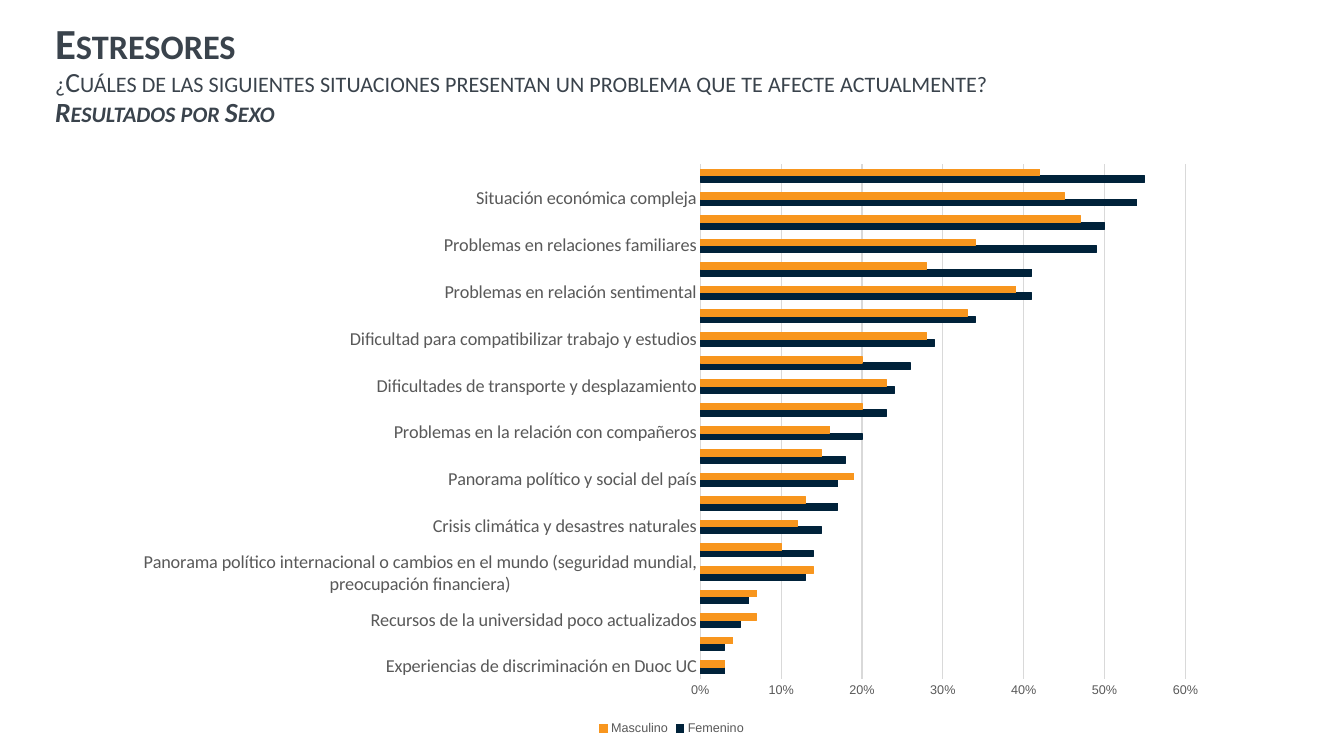
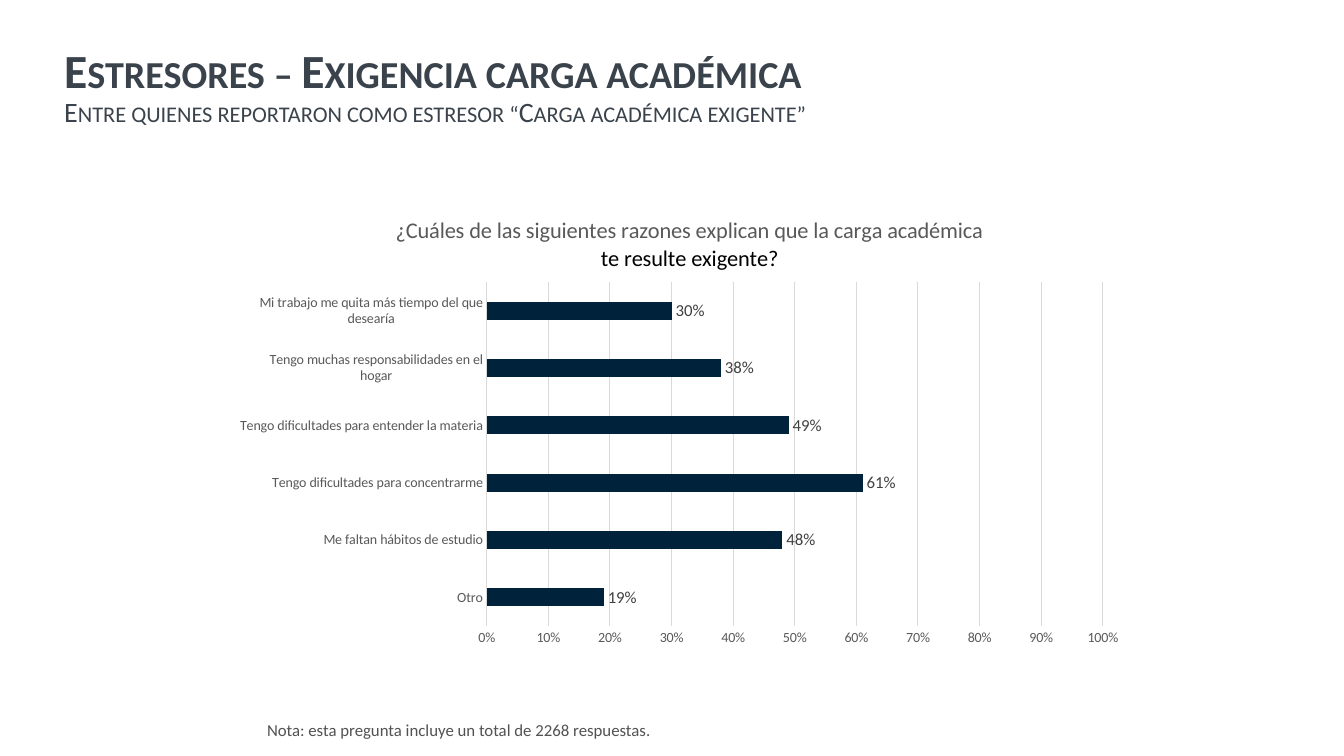
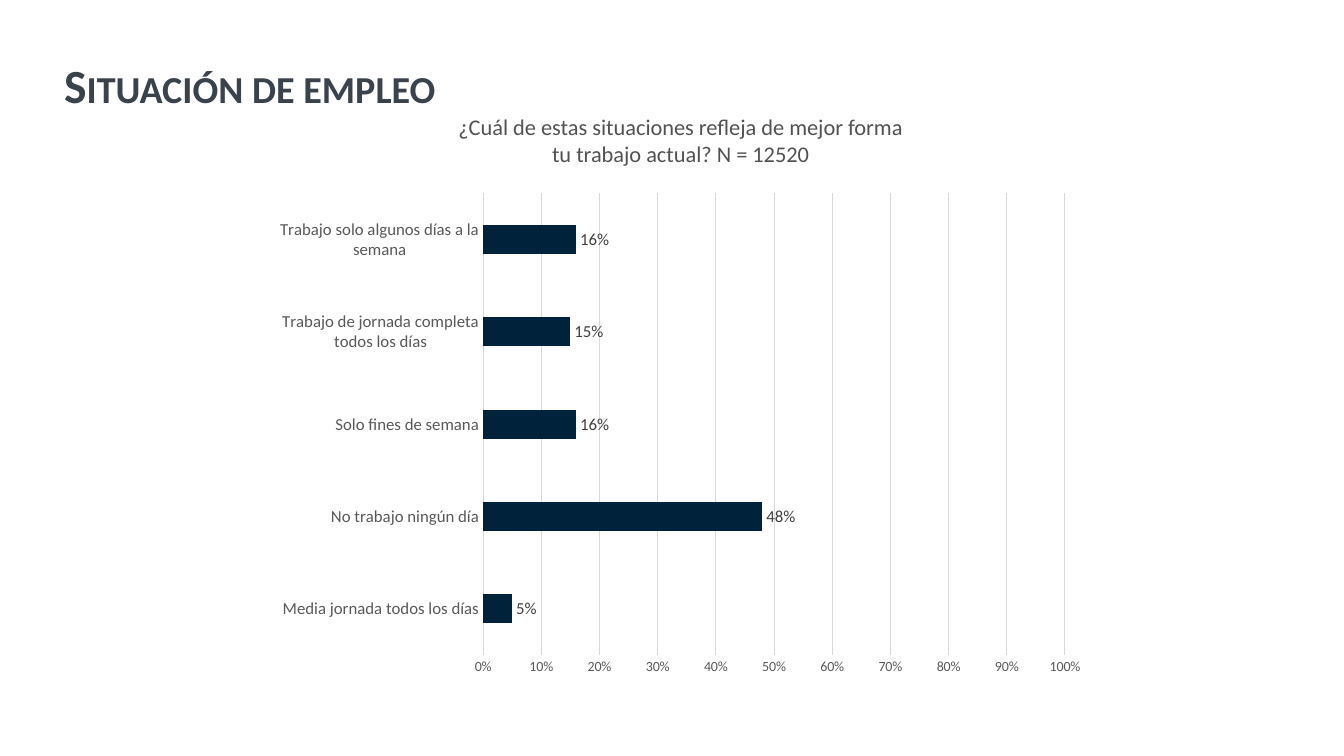
from lxml import etree
from pptx import Presentation
from pptx.chart.data import CategoryChartData
from pptx.dml.color import RGBColor
from pptx.enum.chart import (XL_CHART_TYPE, XL_LABEL_POSITION,
                             XL_LEGEND_POSITION, XL_TICK_MARK)
from pptx.enum.text import MSO_ANCHOR, PP_ALIGN
from pptx.oxml.ns import qn
from pptx.util import Cm, Pt

CLUSTERED = XL_CHART_TYPE.BAR_CLUSTERED
OUTSIDE_END = XL_LABEL_POSITION.OUTSIDE_END
BOTTOM = XL_LEGEND_POSITION.BOTTOM
NO_TICK = XL_TICK_MARK.NONE
TOP, MIDDLE = MSO_ANCHOR.TOP, MSO_ANCHOR.MIDDLE
LEFT, CENTER = PP_ALIGN.LEFT, PP_ALIGN.CENTER

SLATE = RGBColor(0x3A, 0x43, 0x4C)
NAVY = RGBColor(0x00, 0x22, 0x3A)
ORANGE = RGBColor(0xF8, 0x96, 0x1E)
AXIS_GRAY = RGBColor(0x59, 0x59, 0x59)
LABEL_GRAY = RGBColor(0x40, 0x40, 0x40)
NOTE_GRAY = RGBColor(0x52, 0x52, 0x52)
GRID_GRAY = RGBColor(0xD9, 0xD9, 0xD9)
BLACK = RGBColor(0, 0, 0)

BODY_FONT = "Calibri"
CHART_FONT = "Arial"
PERCENT = "0%"

STRESSORS_BY_SEX = [  # category, Femenino, Masculino
    ("Experiencias de discriminación en Duoc UC", 0.03, 0.03),
    ("Espacios de clase no adecuados en Duoc UC", 0.03, 0.04),
    ("Recursos de la universidad poco actualizados", 0.05, 0.07),
    ("Problemas en la relación con profesores", 0.06, 0.07),
    ("Panorama político internacional o cambios en el mundo "
     "(seguridad mundial, preocupación financiera)", 0.13, 0.14),
    ("Problemas de inseguridad al entrar y salir de la sede (delincuencia)",
     0.14, 0.10),
    ("Crisis climática y desastres naturales", 0.15, 0.12),
    ("Problemas de inseguridad en tu barrio", 0.17, 0.13),
    ("Panorama político y social del país", 0.17, 0.19),
    ("Carga académica exigente", 0.18, 0.15),
    ("Problemas en la relación con compañeros", 0.20, 0.16),
    ("Problemas de salud de un ser querido", 0.23, 0.20),
    ("Dificultades de transporte y desplazamiento", 0.24, 0.23),
    ("Duelos/pérdidas", 0.26, 0.20),
    ("Dificultad para compatibilizar trabajo y estudios", 0.29, 0.28),
    ("Aislamiento", 0.34, 0.33),
    ("Problemas en relación sentimental", 0.41, 0.39),
    ("Problemas de salud personales", 0.41, 0.28),
    ("Problemas en relaciones familiares", 0.49, 0.34),
    ("Futuro laboral", 0.50, 0.47),
    ("Situación económica compleja", 0.54, 0.45),
    ("Problemas de autoestima", 0.55, 0.42),
]

WORKLOAD_REASONS = [
    ("Otro", 0.19),
    ("Me faltan hábitos de estudio", 0.48),
    ("Tengo dificultades para concentrarme", 0.61),
    ("Tengo dificultades para entender la materia", 0.49),
    ("Tengo muchas responsabilidades en el hogar", 0.38),
    ("Mi trabajo me quita más tiempo del que desearía", 0.30),
]

JOB_SITUATIONS = [
    ("Media jornada todos los días", 0.05),
    ("No trabajo ningún día", 0.48),
    ("Solo fines de semana", 0.16),
    ("Trabajo de jornada completa todos los días", 0.15),
    ("Trabajo solo algunos días a la semana", 0.16),
]


def style_font(font, size, color, name=BODY_FONT, bold=False, italic=False):
    font.name = name
    font.size = Pt(size)
    font.color.rgb = color
    font.bold = bold
    font.italic = italic


def write_line(paragraph, text, *, small_caps=False, align=LEFT, spacing=1.0,
               **font_format):
    paragraph.alignment = align
    paragraph.line_spacing = spacing
    run = paragraph.add_run()
    run.text = text
    style_font(run.font, **font_format)
    if small_caps:
        run.font._element.set("cap", "small")


def write_lines(frame, lines):
    """Write (text, format) pairs, one paragraph each."""
    for index, (text, line_format) in enumerate(lines):
        paragraph = frame.add_paragraph() if index else frame.paragraphs[0]
        write_line(paragraph, text, **line_format)


def add_text(slide, left, top, width, height, lines, anchor=TOP):
    box = slide.shapes.add_textbox(Cm(left), Cm(top), Cm(width), Cm(height))
    frame = box.text_frame
    frame.word_wrap = True
    frame.vertical_anchor = anchor
    write_lines(frame, lines)


def add_title(slide, lines, left=1.37, top=1.02):
    """Add the small-caps heading; lines are (text, size, bold, italic)."""
    add_text(slide, left, top, 32.33, 2.39, [
        (text, dict(size=size, bold=bold, italic=italic, color=SLATE,
                    small_caps=True, spacing=0.9))
        for text, size, bold, italic in lines], anchor=MIDDLE)


def set_layout(parent, position, **fractions):
    """Place a chart part by hand, in fractions of the chart."""
    layout = parent.find(qn("c:layout"))
    if layout is None:
        layout = etree.Element(qn("c:layout"))
        parent.insert(position, layout)
    manual = etree.SubElement(layout, qn("c:manualLayout"))
    if "w" in fractions:
        etree.SubElement(manual, qn("c:layoutTarget")).set("val", "inner")
    for axis in "xy":
        etree.SubElement(manual, qn(f"c:{axis}Mode")).set("val", "edge")
    for key, fraction in fractions.items():
        etree.SubElement(manual, qn(f"c:{key}")).set("val", str(fraction))


def style_axes(chart, maximum, category_size, value_size, value_font):
    categories, values = chart.category_axis, chart.value_axis
    for axis in (categories, values):
        axis.major_tick_mark = axis.minor_tick_mark = NO_TICK
    categories.has_major_gridlines = False
    categories.format.line.color.rgb = GRID_GRAY
    categories.format.line.width = Pt(0.75)
    style_font(categories.tick_labels.font, category_size, AXIS_GRAY)

    values.minimum_scale = 0
    values.maximum_scale = maximum
    values.major_unit = 0.1
    values.format.line.fill.background()
    values.has_major_gridlines = True
    values.major_gridlines.format.line.color.rgb = GRID_GRAY
    values.major_gridlines.format.line.width = Pt(0.75)
    values.tick_labels.number_format = PERCENT
    values.tick_labels.number_format_is_linked = False
    style_font(values.tick_labels.font, value_size, AXIS_GRAY, value_font)


def add_bar_chart(slide, left, top, width, height, rows, series_colors, plot_area,
                  *, gap=219, maximum=1, category_size=10, value_size=10,
                  value_font=BODY_FONT):
    names, *columns = zip(*rows)
    data = CategoryChartData(number_format=PERCENT)
    data.categories = names
    for series_name, column in zip(series_colors, columns):
        data.add_series(series_name, column)
    chart = slide.shapes.add_chart(CLUSTERED, Cm(left), Cm(top), Cm(width),
                                   Cm(height), data).chart
    style_font(chart.font, 10, BLACK, CHART_FONT)
    chart.has_title = False
    chart.has_legend = False
    style_axes(chart, maximum, category_size, value_size, value_font)

    plot = chart.plots[0]
    plot.gap_width = gap
    plot.overlap = 0
    plot.vary_by_categories = False
    for series, color in zip(plot.series, series_colors.values()):
        series.format.fill.solid()
        series.format.fill.fore_color.rgb = color
        series.invert_if_negative = False
    set_layout(chart._chartSpace.chart.plotArea, 0, **plot_area)
    return chart


def outline_bars(chart, series_colors):
    for series, color in zip(chart.plots[0].series, series_colors.values()):
        series.format.line.color.rgb = color
        series.format.line.width = Pt(0.75)


def add_legend(chart):
    chart.has_legend = True
    chart.legend.position = BOTTOM
    chart.legend.include_in_layout = False
    style_font(chart.legend.font, 9, AXIS_GRAY, CHART_FONT)


def label_bars(chart):
    plot = chart.plots[0]
    plot.has_data_labels = True
    labels = plot.data_labels
    labels.show_value = True
    labels.position = OUTSIDE_END
    labels.number_format = PERCENT
    labels.number_format_is_linked = False
    style_font(labels.font, 12, LABEL_GRAY)


def add_chart_title(chart, lines, x, y):
    chart.has_title = True
    title = chart.chart_title
    write_lines(title.text_frame, lines)
    title.include_in_layout = False
    set_layout(title._element, 1, x=x, y=y)


def build_stressors(slide):
    add_title(slide, [
        ("Estresores", 30.6, True, False),
        ("¿Cuáles de las siguientes situaciones presentan un problema "
         "que te afecte actualmente?", 19.8, False, False),
        ("Resultados por Sexo", 19.8, True, True),
    ], left=1.14, top=0.71)
    sex_colors = {"Femenino": NAVY, "Masculino": ORANGE}
    chart = add_bar_chart(
        slide, 3.1, 3.84, 27.66, 14.81, STRESSORS_BY_SEX, sex_colors,
        dict(x=0.526, y=0.02, w=0.442, h=0.876), gap=150, maximum=0.6,
        category_size=13, value_size=9, value_font=CHART_FONT)
    outline_bars(chart, sex_colors)
    add_legend(chart)


def build_workload(slide):
    add_title(slide, [
        ("Estresores – Exigencia carga académica", 34, True, False),
        ("Entre quienes reportaron como estresor “Carga académica exigente”",
         20, False, False),
    ])
    chart = add_bar_chart(
        slide, 6.05, 4.9, 22.58, 11.63, WORKLOAD_REASONS, {"Series 1": NAVY},
        dict(x=0.275, y=0.19, w=0.688, h=0.745))
    label_bars(chart)
    add_chart_title(chart, [
        ("¿Cuáles de las siguientes razones explican que la carga académica",
         dict(size=16, color=AXIS_GRAY, align=CENTER)),
        ("te resulte exigente?", dict(size=16, color=BLACK, align=CENTER)),
    ], x=0.17, y=0.04)
    add_text(slide, 6.48, 18.01, 18.75, 0.76, [
        ("Nota: esta pregunta incluye un total de 2268 respuestas.",
         dict(size=12, color=NOTE_GRAY))])


def build_employment(slide):
    chart = add_bar_chart(
        slide, 6.65, 4.62, 21.01, 12.65, JOB_SITUATIONS, {"Series 1": NAVY},
        dict(x=0.263, y=0.02, w=0.698, h=0.92), category_size=12)
    label_bars(chart)
    add_title(slide, [("Situación de empleo", 34, True, False)])
    add_text(slide, 11.3, 2.72, 11.71, 2.24, [
        ("¿Cuál de estas situaciones refleja de mejor forma tu trabajo actual? "
         "N = 12520", dict(size=16, color=NOTE_GRAY, align=CENTER))])


def main():
    deck = Presentation()
    deck.slide_width = Cm(33.87)
    deck.slide_height = Cm(19.05)
    blank_layout = deck.slide_layouts[6]
    for build in (build_stressors, build_workload, build_employment):
        build(deck.slides.add_slide(blank_layout))
    deck.save("out.pptx")


if __name__ == "__main__":
    main()
